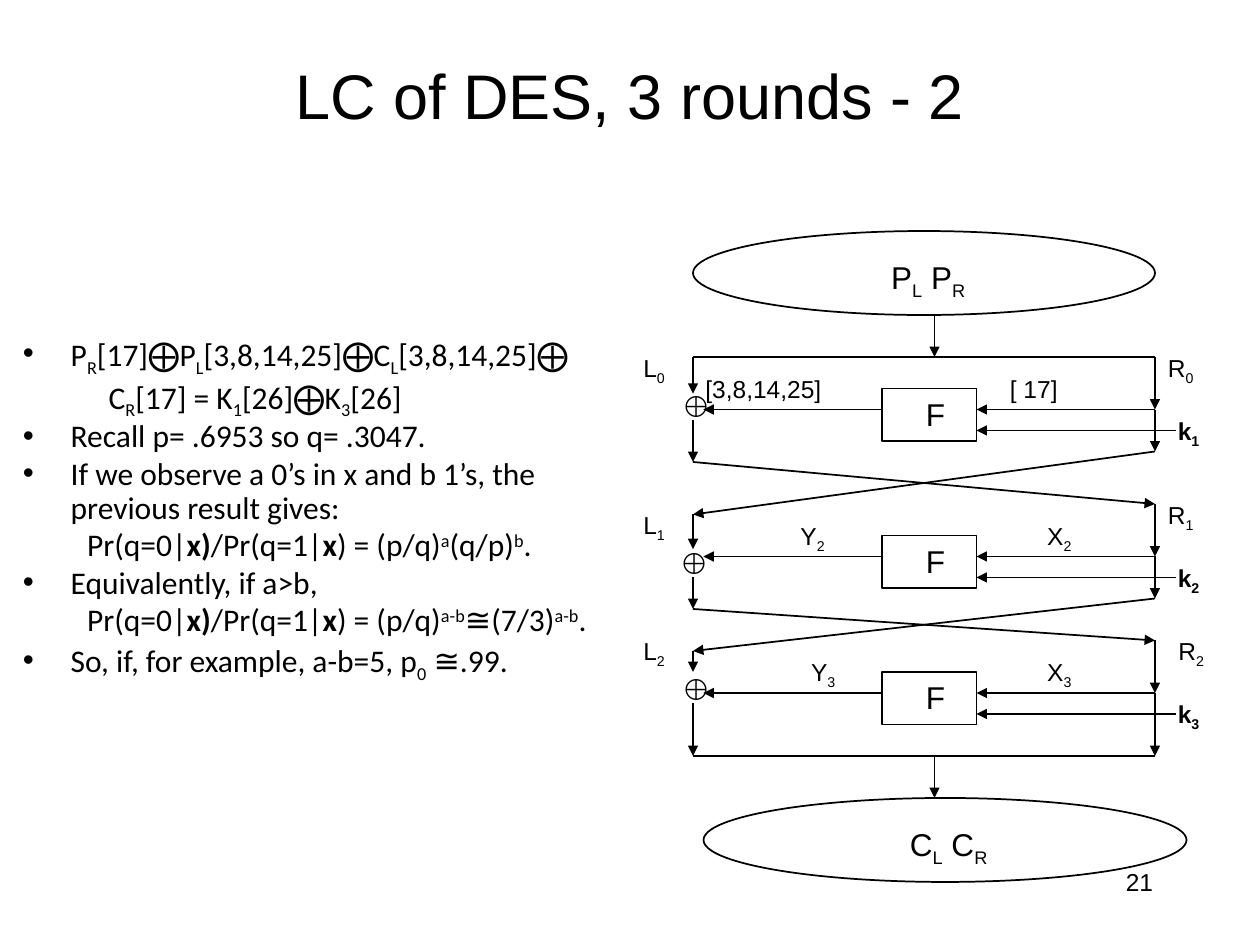
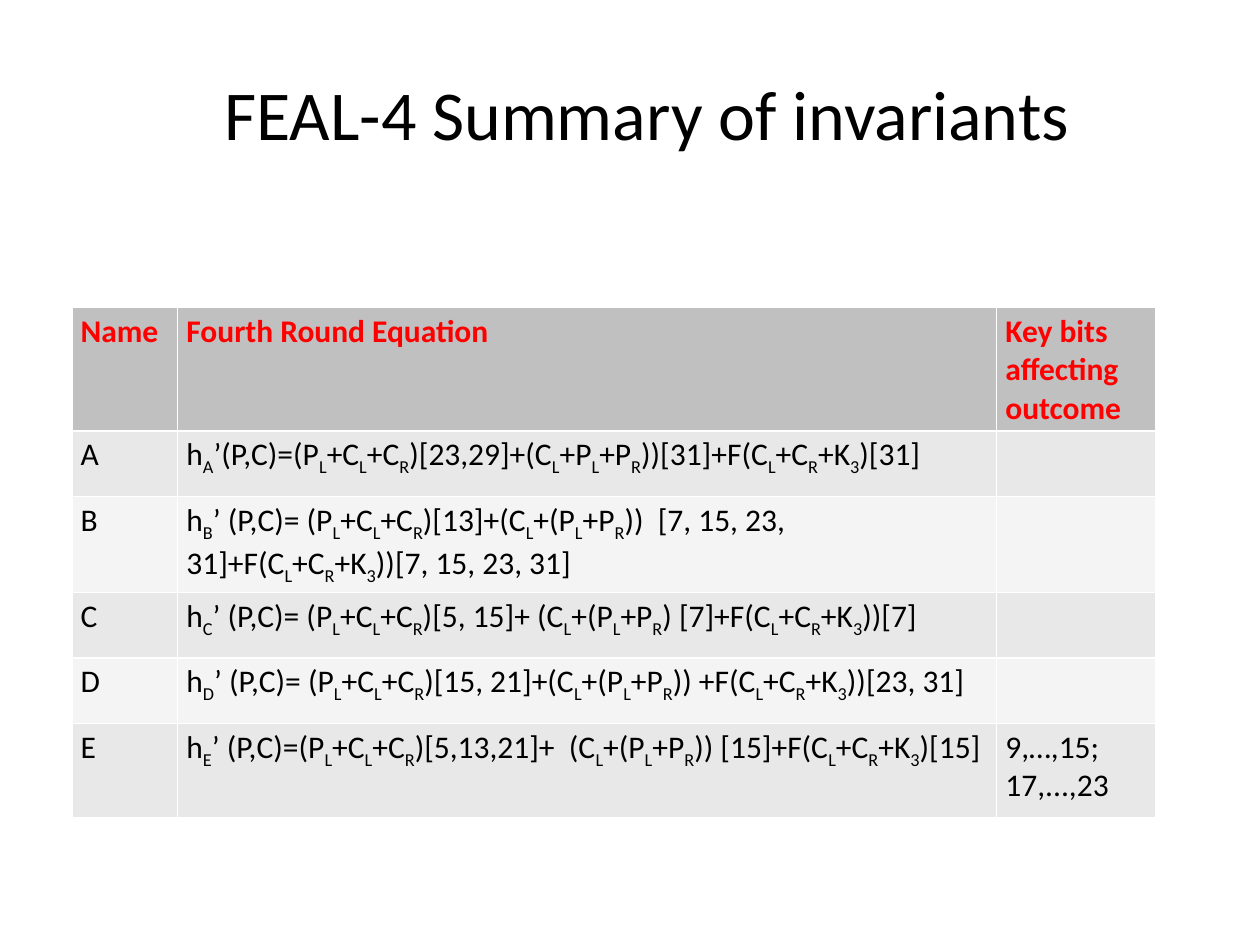
from lxml import etree
from pptx import Presentation
from pptx.dml.color import RGBColor
from pptx.enum.shapes import MSO_CONNECTOR, MSO_SHAPE
from pptx.enum.text import MSO_ANCHOR, PP_ALIGN
from pptx.oxml.ns import qn
from pptx.util import Inches, Pt

STRAIGHT = MSO_CONNECTOR.STRAIGHT
OVAL, RECTANGLE = MSO_SHAPE.OVAL, MSO_SHAPE.RECTANGLE
LEFT, CENTER, RIGHT = PP_ALIGN.LEFT, PP_ALIGN.CENTER, PP_ALIGN.RIGHT
TOP, MIDDLE = MSO_ANCHOR.TOP, MSO_ANCHOR.MIDDLE

COLORS = {"ink": "000000", "heading": "FF0000", "heading_band": "C0C0C0",
          "odd_band": "E8E8E8", "even_band": "F4F4F4"}
BASELINES = {"_": "-25000", "^": "30000"}

# The slide is a grid of 120 columns and 90 rows
prs = Presentation()
prs.slide_width, prs.slide_height = Inches(10), Inches(7.5)
UNIT = prs.slide_width / 120


def write(frame, text, size=14, font="Arial", color="ink", bold=False, align=CENTER,
          anchor=TOP, wrap=True, spacing=None, before=0, indents=None, bullets=()):
    """Fill a frame; {_x} is a subscript, {^x} a superscript, {*x} bold."""
    frame.word_wrap = wrap
    frame.vertical_anchor = anchor
    for row, line in enumerate(text.split("\n")):
        paragraph = frame.paragraphs[0] if row == 0 else frame.add_paragraph()
        paragraph.alignment = align
        paragraph.line_spacing = spacing
        if row:
            paragraph.space_before = Pt(before)
        if indents:
            props = paragraph._p.get_or_add_pPr()
            props.set("marL", str(Inches(indents[row])))
            props.set("indent", str(-Inches(indents[row]) if row in bullets else 0))
            if row in bullets:
                etree.SubElement(props, qn("a:buFont")).set("typeface", "Arial")
                etree.SubElement(props, qn("a:buChar")).set("char", "•")
        plain, *marked = line.split("{")
        pieces = [("", plain)]
        for part in marked:
            inside, after = part.split("}")
            pieces += [(inside[0], inside[1:]), ("", after)]
        for mark, piece in pieces:
            if not piece:
                continue
            run = paragraph.add_run()
            run.text = piece
            run.font.size, run.font.name = Pt(size), font
            run.font.bold = bold or mark == "*"
            run.font.color.rgb = RGBColor.from_string(COLORS[color])
            if mark in BASELINES:
                run._r.get_or_add_rPr().set("baseline", BASELINES[mark])


def connect(slide, x1, y1, x2, y2, arrow=True):
    line = slide.shapes.add_connector(STRAIGHT, *(int(v * UNIT) for v in (x1, y1, x2, y2)))
    line.line.width = Pt(1)
    line.line.color.rgb = RGBColor.from_string(COLORS["ink"])
    if arrow:
        etree.SubElement(line.line._get_or_add_ln(), qn("a:tailEnd")).set("type", "triangle")
    etree.SubElement(line._element.spPr, qn("a:effectLst"))


blank = prs.slide_layouts[6]
rounds_slide = prs.slides.add_slide(blank)
summary_slide = prs.slides.add_slide(blank)

# Text styles
title = dict(anchor=MIDDLE, size=36)
body = dict(size=18, font="Calibri", align=LEFT, spacing=0.9, before=2,
            indents=[0.38, 0.68, 0.38, 0.38, 0.51, 0.38, 0.51, 0.38], bullets=(0, 2, 3, 5, 7))
half = dict(size=18, wrap=False)
bits = dict(align=LEFT)
tag = dict(wrap=False)
key = dict(align=LEFT, bold=True)
xor = dict(size=20, font="Courier New")

findings = """P{_R}[17]⨁P{_L}[3,8,14,25]⨁C{_L}[3,8,14,25]⨁
C{_R}[17] = K{_1}[26]⨁K{_3}[26]
Recall p= .6953 so q= .3047.
If we observe a 0’s in x and b 1’s, the previous result gives:
Pr(q=0|{*x)}/Pr(q=1|{*x}) = (p/q){^a}(q/p){^b}.
Equivalently, if a>b,
Pr(q=0|{*x)}/Pr(q=1|{*x}) = (p/q){^a-b}≅(7/3){^a-b}.
So, if, for example, a-b=5, p{_0} ≅.99."""

# Slide 1: plaintext and ciphertext ovals, F boxes
LEFT_HALF, RIGHT_HALF, CENTRE = 66, 110, 89
F_LEFT, F_RIGHT = 84, 93
F_TOPS = [37, 51, 64]

outlines = [(OVAL, 66, 22, 44, 8), (OVAL, 67, 76, 46, 8)]
outlines += [(RECTANGLE, F_LEFT, f_top, F_RIGHT - F_LEFT, 5) for f_top in F_TOPS]
for kind, *place in outlines:
    outline = rounds_slide.shapes.add_shape(kind, *(int(v * UNIT) for v in place))
    outline.shadow.inherit = False
    outline.fill.background()
    outline.line.width = Pt(1)
    outline.line.color.rgb = RGBColor.from_string(COLORS["ink"])

# Entry and exit of the three rounds
for start, bar, end in [(30, 34, 34), (72, 72, 76)]:
    connect(rounds_slide, CENTRE, start, CENTRE, end)
    connect(rounds_slide, LEFT_HALF, bar, RIGHT_HALF, bar, arrow=False)

# Each round: F top, left in, left at xor, left after xor, left out, right in, right out
rounds = [(37, 34, 37.5, 40, 44, 34, 43),
          (51, 49, 52.3, 55, 58, 48, 57),
          (64, 62, 64, 67, 72, 61, 72)]
for f_top, left_in, xor_in, xor_out, left_out, right_in, right_out in rounds:
    data, round_key = f_top + 2, f_top + 4
    connect(rounds_slide, F_LEFT, data, LEFT_HALF + 1, data)
    connect(rounds_slide, RIGHT_HALF, data, F_RIGHT, data)
    connect(rounds_slide, RIGHT_HALF + 2, round_key, F_RIGHT, round_key)
    connect(rounds_slide, LEFT_HALF, left_in, LEFT_HALF, xor_in)
    connect(rounds_slide, LEFT_HALF, xor_out, LEFT_HALF, left_out)
    connect(rounds_slide, RIGHT_HALF, right_in, RIGHT_HALF, data)
    connect(rounds_slide, RIGHT_HALF, data, RIGHT_HALF, right_out)

# Halves swap between rounds
for before_swap, after_swap in zip(rounds, rounds[1:]):
    connect(rounds_slide, RIGHT_HALF, before_swap[6], LEFT_HALF, after_swap[1])
    connect(rounds_slide, LEFT_HALF, before_swap[4], RIGHT_HALF, after_swap[5])

# Text of slide 1 and the title of slide 2
labels = [
    (rounds_slide, "LC of DES, 3 rounds - 2", (9, 4, 102, 10), title),
    (summary_slide, "FEAL-4 Summary of invariants", (8, 5, 107.2, 11.5),
     title | dict(size=40, font="Calibri")),
    (rounds_slide, findings, (1, 31.4, 59.8, 38.8), body),
    (rounds_slide, "21", (86, 82, 25, 6), dict(align=RIGHT)),
    (rounds_slide, "P{_L} P{_R}", (83.5, 24, 9.8, 4.8), half),
    (rounds_slide, "C{_L} C{_R}", (85.3, 78, 10.1, 4.8), half),
    (rounds_slide, "[3,8,14,25]", (66, 35, 17, 4), bits),
    (rounds_slide, "[ 17]", (95, 35, 15, 4), bits),
]
for number, f_top, xor_left, xor_top in zip((1, 2, 3), F_TOPS, (63.6, 63.4, 63.6),
                                            (35.8, 50.8, 62.8)):
    labels += [
        (rounds_slide, "F", (87, f_top, 4.2, 4.8), half),
        (rounds_slide, "⨁", (xor_left, xor_top, 5.4, 5.3), xor),
        (rounds_slide, f"k{{_{number}}}", (111, f_top + 2, 6.7, 4), key),
    ]
for text, left, top, width in [
        ("L{_0}", 60, 33, 4.6), ("L{_1}", 60, 48, 4.6), ("L{_2}", 60, 60, 4.6),
        ("R{_0}", 110, 33, 4.9), ("R{_1}", 110, 47, 4.9), ("R{_2}", 111, 60, 4.9),
        ("Y{_2}", 75, 49, 4.8), ("Y{_3}", 76, 62, 4.8),
        ("X{_2}", 98.5, 49, 4.8), ("X{_3}", 98.5, 62, 4.8)]:
    labels.append((rounds_slide, text, (left, top, width, 4), tag))

for slide, text, place, style in labels:
    label = slide.shapes.add_textbox(*(int(v * UNIT) for v in place))
    write(label.text_frame, text, **style)

# Slide 2: table of invariants
SUM = "(P{_L}+C{_L}+C{_R})"
ROUND_F = "F(C{_L}+C{_R}+K{_3})"
MIX = "(C{_L}+(P{_L}+P{_R})"
invariants = [
    ("Name", "Fourth Round Equation", "Key bits affecting outcome"),
    ("A", f"h{{_A}}’(P,C)={SUM}[23,29]+(C{{_L}}+P{{_L}}+P{{_R}}))[31]+{ROUND_F}[31]", ""),
    ("B", f"h{{_B}}’ (P,C)= {SUM}[13]+{MIX})  [7, 15, 23, 31]+{ROUND_F})[7, 15, 23, 31]", ""),
    ("C", f"h{{_C}}’ (P,C)= {SUM}[5, 15]+ {MIX} [7]+{ROUND_F})[7]", ""),
    ("D", f"h{{_D}}’ (P,C)= {SUM}[15, 21]+{MIX}) +{ROUND_F})[23, 31]", ""),
    ("E", f"h{{_E}}’ (P,C)={SUM}[5,13,21]+  {MIX}) [15]+{ROUND_F}[15]", "9,…,15; 17,...,23"),
]
column_widths = [0.84, 6.5, 1.26]
row_heights = [0.53] + [0.52] * 4 + [0.75]
table = summary_slide.shapes.add_table(
    len(row_heights), len(column_widths), Inches(0.57), Inches(2.44),
    Inches(sum(column_widths)), Inches(sum(row_heights))).table
for column, width in zip(table.columns, column_widths):
    column.width = Inches(width)
for row, (height, entries) in enumerate(zip(row_heights, invariants)):
    table.rows[row].height = Inches(height)
    band = "heading_band" if row == 0 else "odd_band" if row % 2 else "even_band"
    for col, entry in enumerate(entries):
        cell = table.cell(row, col)
        cell.margin_left = cell.margin_right = Inches(0.07)
        cell.margin_top = cell.margin_bottom = Inches(0.04)
        cell.fill.solid()
        cell.fill.fore_color.rgb = RGBColor.from_string(COLORS[band])
        write(cell.text_frame, entry, size=18, font="Calibri", align=LEFT,
              color="ink" if row else "heading", bold=row == 0)

prs.save("out.pptx")
